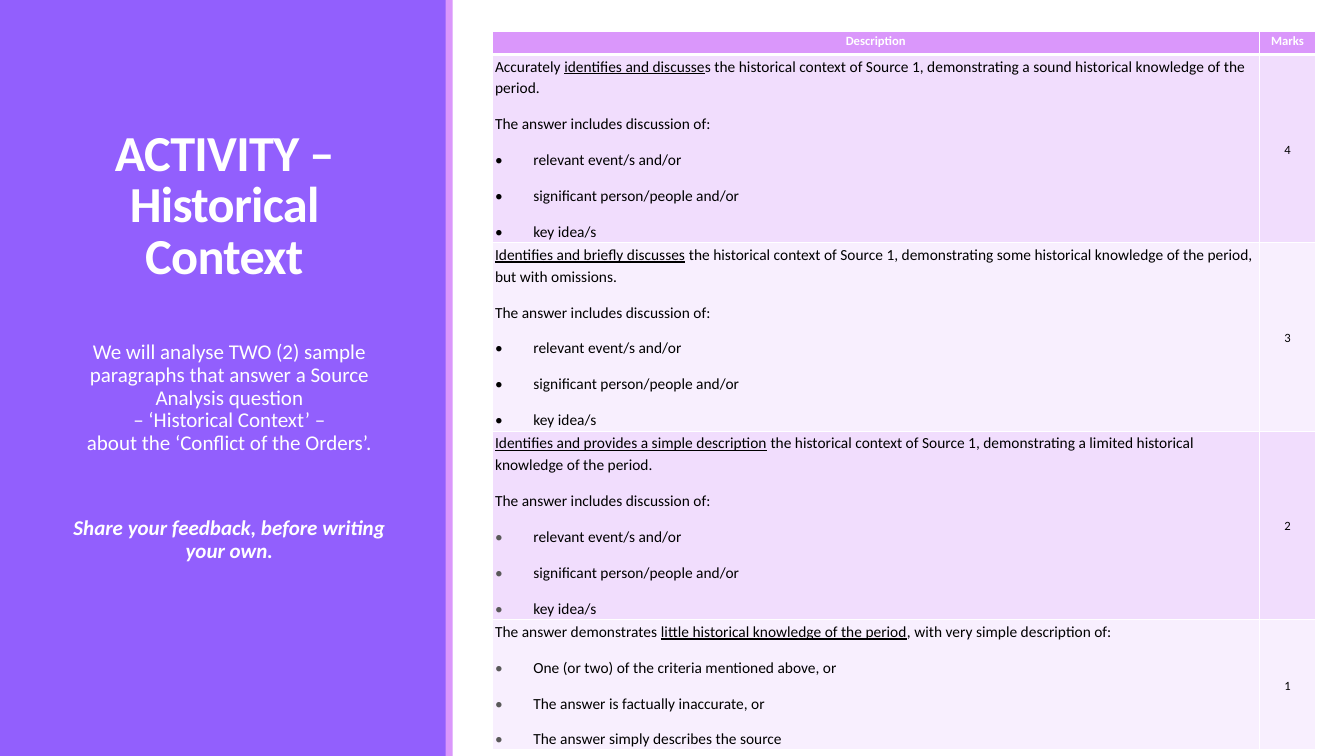
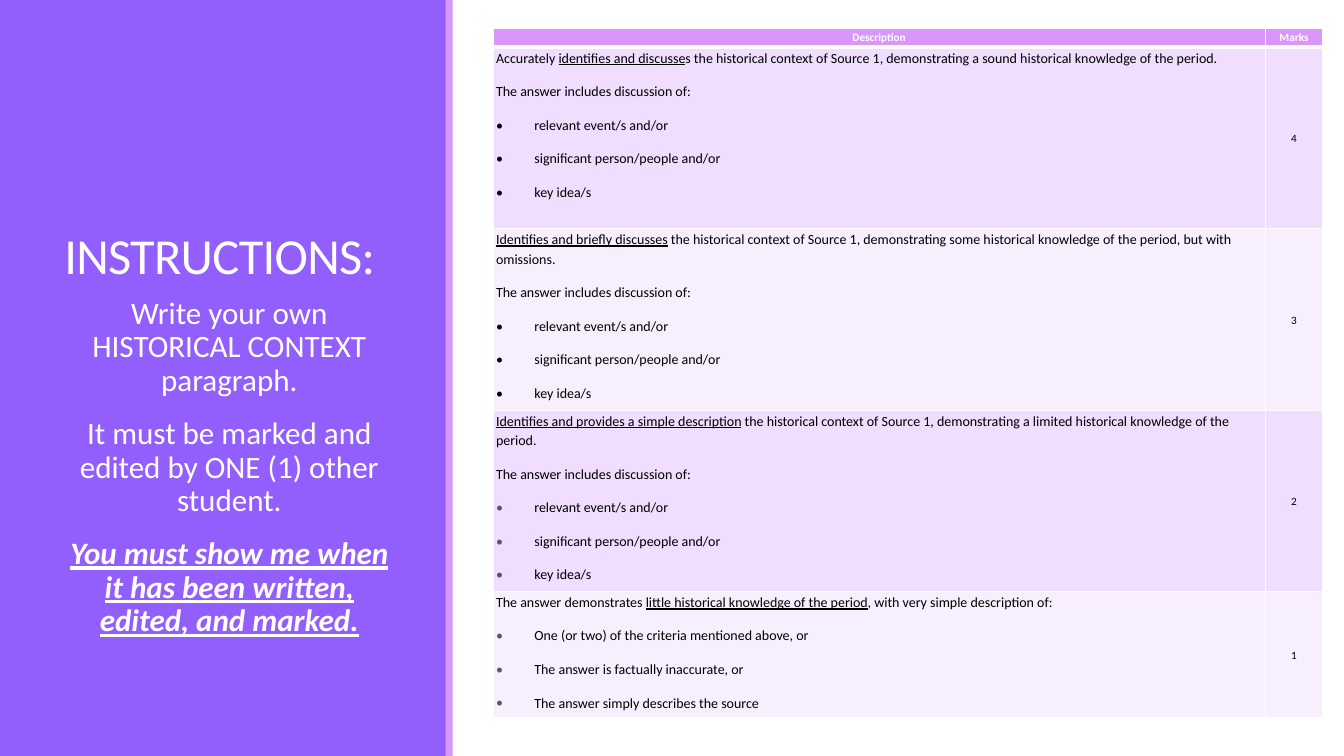
from lxml.etree import SubElement
from pptx import Presentation
from pptx.dml.color import RGBColor
from pptx.enum.shapes import MSO_SHAPE
from pptx.enum.text import MSO_ANCHOR, PP_ALIGN
from pptx.oxml.ns import qn
from pptx.util import Inches, Pt

FONT = "Calibri"
WHITE = RGBColor(0xFF, 0xFF, 0xFF)
BLACK = RGBColor(0, 0, 0)
GREY = RGBColor(0x59, 0x59, 0x59)
PURPLE = RGBColor(0x92, 0x5F, 0xFD)
PINK = RGBColor(0xDA, 0x97, 0xFB)
BANDS = (RGBColor(0xF1, 0xDD, 0xFD), RGBColor(0xF8, 0xEF, 0xFE))

ASK = "The answer includes discussion of:"
POINTS = ("relevant event/s and/or", "significant person/people and/or", "key idea/s")
LEVELS = (
    ("4", BLACK, ("Accurately _identifies and discusse_s the historical context of Source 1, "
                  "demonstrating a sound historical knowledge of the period.", ASK), POINTS),
    ("3", BLACK, ("_Identifies and briefly discusses_ the historical context of Source 1, "
                  "demonstrating some historical knowledge of the period, but with omissions.", ASK), POINTS),
    ("2", GREY, ("_Identifies and provides a simple description_ the historical context of Source 1, "
                 "demonstrating a limited historical knowledge of the period.", ASK), POINTS),
    ("1", GREY, ("The answer demonstrates _little historical knowledge of the period_, "
                 "with very simple description of:",),
     ("One (or two) of the criteria mentioned above, or",
      "The answer is factually inaccurate, or",
      "The answer simply describes the source")),
)


def write(frame, text, size, color=WHITE, bold=False, slant=False, align=PP_ALIGN.CENTER,
          line=0.9, before=0, after=0, track=0, left=0, dot=None):
    para = frame.paragraphs[-1]
    if para.runs:
        para = frame.add_paragraph()
    para.alignment = align
    para.line_spacing = line
    para.space_before = Pt(before)
    para.space_after = Pt(after)
    props = para._p.get_or_add_pPr()
    props.set("marL", str(Inches(left)))
    if dot is not None:
        props.set("indent", str(-Inches(left)))
        tint = SubElement(props, qn("a:buClr"))
        SubElement(tint, qn("a:srgbClr"), val=str(dot))
        SubElement(props, qn("a:buFont"), typeface=FONT)
        SubElement(props, qn("a:buChar"), char="•")
    for row, words in enumerate(text.split("\n")):
        if row:
            para.add_line_break()
        for spot, part in enumerate(words.split("_")):
            if not part:
                continue
            run = para.add_run()
            run.text = part
            font = run.font
            font.name, font.size, font.color.rgb = FONT, Pt(size), color
            font.bold, font.italic, font.underline = bold, slant, spot % 2 == 1
            if track:
                run._r.get_or_add_rPr().set("spc", str(int(track * 100)))


def add_block(slide, left, width, fill):
    block = slide.shapes.add_shape(MSO_SHAPE.RECTANGLE, Inches(left), 0, Inches(width), Inches(7.5))
    block.shadow.inherit = False
    block.fill.solid()
    block.fill.fore_color.rgb = fill
    block.line.fill.background()


def add_box(slide, top, height, side=0, anchor=MSO_ANCHOR.TOP):
    box = slide.shapes.add_textbox(Inches(0.54), Inches(top), Inches(3.37), Inches(height))
    frame = box.text_frame
    frame.word_wrap = True
    frame.vertical_anchor = anchor
    frame.margin_left = frame.margin_right = Inches(side)
    return frame


def add_panel(slide, title, **style):
    add_block(slide, 0, 4.43, PURPLE)
    add_block(slide, 4.42, 0.07, PINK)
    frame = add_box(slide, 0.57, 2.3, side=0.1, anchor=MSO_ANCHOR.BOTTOM)
    write(frame, title, 36, line=0.85, track=-0.5, **style)


def style_cell(cell, fill, top=1, base=1, anchor=MSO_ANCHOR.TOP):
    cell.margin_left = cell.margin_right = Inches(0.03)
    cell.margin_top = cell.margin_bottom = 0
    cell.vertical_anchor = anchor
    props = cell._tc.get_or_add_tcPr()
    for side, width in (("L", 1), ("R", 1), ("T", top), ("B", base)):
        edge = SubElement(props, qn("a:ln" + side), w=str(Pt(width)))
        paint = SubElement(edge, qn("a:solidFill"))
        SubElement(paint, qn("a:srgbClr"), val=str(WHITE))
    cell.fill.solid()
    cell.fill.fore_color.rgb = fill


def add_rubric(slide, left, top, cols, rows, size, small):
    shape = slide.shapes.add_table(len(rows), len(cols), Inches(left), Inches(top),
                                   Inches(sum(cols)), Inches(sum(rows)))
    table = shape.table
    table.horz_banding = False
    for col, width in zip(table.columns, cols):
        col.width = Inches(width)
    for row, height in zip(table.rows, rows):
        row.height = Inches(height)
    gaps = dict(line=1.15, after=10)
    for col, head in enumerate(("Description", "Marks")):
        cell = table.cell(0, col)
        style_cell(cell, PINK, base=3)
        write(cell.text_frame, head, small, bold=True, **gaps)
    plain = dict(gaps, color=BLACK)
    for row, (mark, dot, lines, points) in enumerate(LEVELS, 1):
        fill = BANDS[(row - 1) % 2]
        edge = 3 if row == 1 else 1
        cell, score = table.cell(row, 0), table.cell(row, 1)
        style_cell(cell, fill, top=edge)
        style_cell(score, fill, top=edge, anchor=MSO_ANCHOR.MIDDLE)
        for text in lines:
            write(cell.text_frame, text, size, align=PP_ALIGN.LEFT, **plain)
        for text in points:
            write(cell.text_frame, text, size, align=PP_ALIGN.LEFT, left=0.38, dot=dot, **plain)
        write(score.text_frame, mark, small, **plain)


def add_task(deck):
    slide = deck.slides.add_slide(deck.slide_layouts[6])
    add_panel(slide, "ACTIVITY – Historical Context", bold=True)
    frame = add_box(slide, 3.34, 3.21)
    write(frame, "We will analyse TWO (2) sample paragraphs that answer a Source Analysis question\n"
                 "– ‘Historical Context’ –\nabout the ‘Conflict of the Orders’.", 15, left=0.1)
    write(frame, "Share your feedback, before writing your own.", 15,
          bold=True, slant=True, before=44.5, left=0.1)
    add_rubric(slide, 4.88, 0.31, (7.61, 0.56), (0.23, 1.87, 1.87, 1.87, 1.29), 11, 9)


def add_guide(deck):
    slide = deck.slides.add_slide(deck.slide_layouts[6])
    add_panel(slide, "INSTRUCTIONS:", align=PP_ALIGN.LEFT)
    frame = add_box(slide, 2.9, 3.65)
    gaps = dict(after=2, left=0.1)
    write(frame, "Write your own HISTORICAL CONTEXT paragraph.", 22.2, **gaps)
    write(frame, "It must be marked and edited by ONE (1) other student.", 22.2, before=12, **gaps)
    write(frame, "_You must show me when it has been written, edited, and marked._", 22.2,
          bold=True, slant=True, before=12, **gaps)
    add_rubric(slide, 4.89, 0.28, (7.66, 0.57), (0.19, 1.8, 1.8, 1.8, 1.25), 10, 8)


def main():
    deck = Presentation()
    deck.slide_width, deck.slide_height = Inches(13.33), Inches(7.5)
    add_task(deck)
    add_guide(deck)
    deck.save("out.pptx")


if __name__ == "__main__":
    main()
